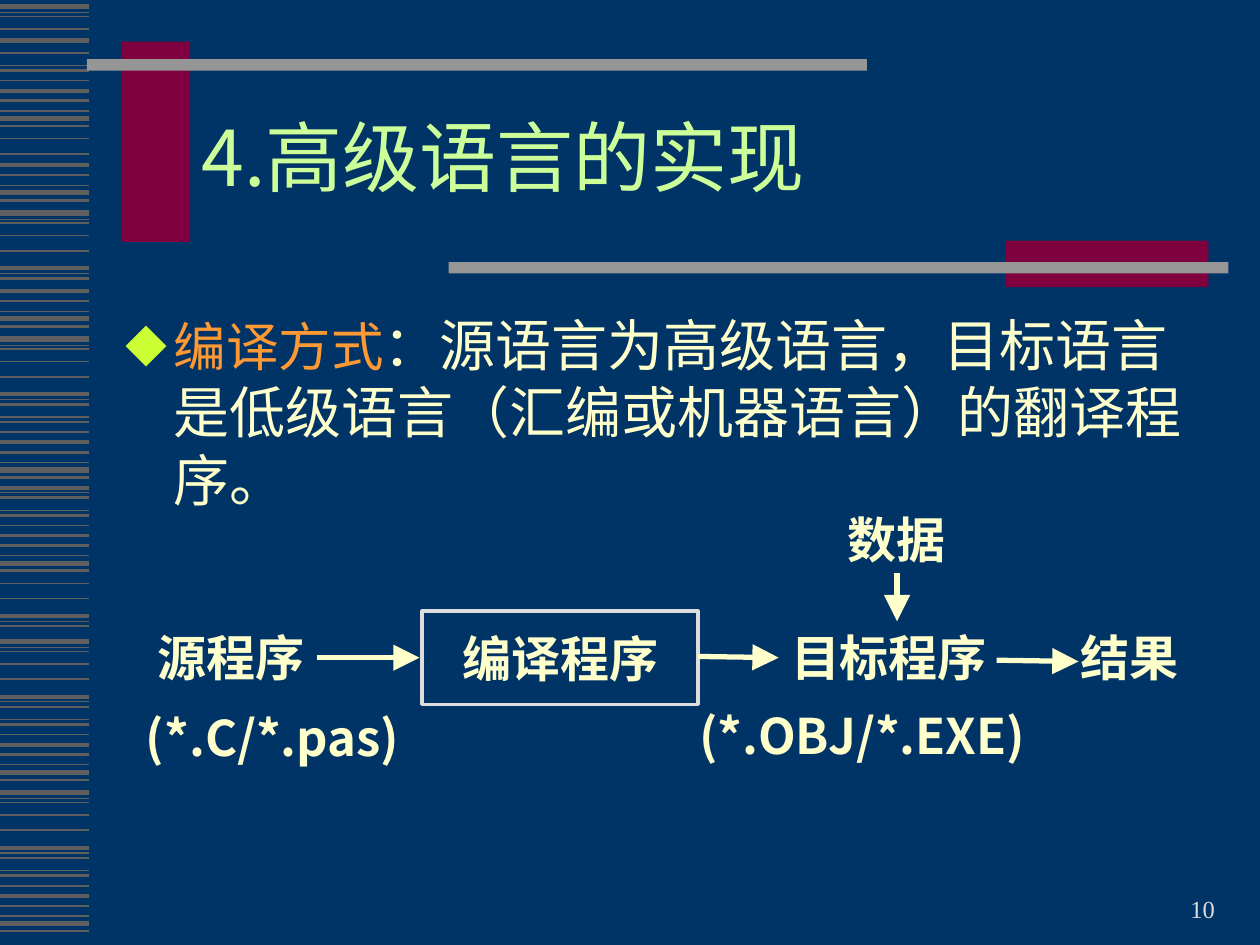
from lxml import etree
from pptx import Presentation, util as u
from pptx.dml.color import RGBColor
from pptx.enum import shapes, text
from pptx.oxml import ns

COLORS = {
    "navy": "003366", "stripe": "5F5F5F", "wine": "7E003F", "bar": "969696",
    "pale": "DDDDDD", "title": "CCFF99", "bullet": "CCFF33",
    "term": "FF9933", "cream": "FFFFCC",
}
SANS, SERIF = "Noto Sans CJK SC", "Times New Roman"
COLUMNS, ROWS = 100, 75
CELL = u.Inches(0.1)
STRIPE_MOTIF = [
    (0, 3), (0.5, 0.75), (0.8, 1), (1.8, 1), (3, 1), (4.4, 2.25),
    (4.8, 0.75), (5.2, 1.5), (6.2, 0.75), (6.6, 1.5), (7.4, 1),
    (8.2, 2.25), (9, 1.5), (9.8, 0.75), (10.4, 3), (11, 1.5),
]
STRIPE_BANDS = [
    (0.5, 0, 4), (3.2, 0, 1), (-1, 7, 16), (9.2, 3, 5), (4.9, 11, 16),
    (16.9, 0, 8), (14.9, 11, 16), (26.9, 0, 16), (34.3, 5, 16),
    (44.5, 3, 8), (50.9, 0, 16), (62.9, 0, 16),
]


def cells(*counts):
    return [round(count * CELL) for count in counts]


def color(name):
    return RGBColor.from_string(COLORS[name])


def add_tag(parent, name, **attributes):
    return etree.SubElement(parent, ns.qn(name), attributes)


def add_span(para, words, size, tint, font=SANS, bold=False):
    span = para.add_run()
    span.text = words
    span.font.size = u.Pt(size)
    span.font.name = font
    span.font.bold = bold
    span.font.color.rgb = color(tint)
    add_tag(span._r.get_or_add_rPr(), "a:ea", typeface=font)


def add_box(slide, place, anchor=text.MSO_ANCHOR.MIDDLE):
    box = slide.shapes.add_textbox(*cells(*place))
    frame = box.text_frame
    frame.word_wrap = True
    frame.vertical_anchor = anchor
    frame.margin_top = frame.margin_bottom = 0
    return frame


def add_label(slide, words, place, align=text.PP_ALIGN.LEFT):
    para = add_box(slide, place).paragraphs[0]
    para.alignment = align
    add_span(para, words, 28, "cream", bold=True)


def add_block(slide, place, fill, outline=None):
    block = slide.shapes.add_shape(shapes.MSO_SHAPE.RECTANGLE, *cells(*place))
    block.shadow.inherit = False
    block.fill.solid()
    block.fill.fore_color.rgb = color(fill)
    if outline:
        block.line.color.rgb = color(outline)
        block.line.width = u.Pt(2)
    else:
        block.line.fill.background()
    return block


def add_line(slide, ends, tint, weight, arrow=False):
    line = slide.shapes.add_connector(shapes.MSO_CONNECTOR.STRAIGHT, *cells(*ends))
    line.line.color.rgb = color(tint)
    line.line.width = u.Pt(weight)
    if arrow:
        outline = line.line._get_or_add_ln()
        add_tag(outline, "a:tailEnd", type="triangle", w="lg", len="lg")
    add_tag(line._element.spPr, "a:effectLst")


def add_stripes(slide):
    for base, first, stop in STRIPE_BANDS:
        for offset, weight in STRIPE_MOTIF[first:stop]:
            row = base + offset
            add_line(slide, (0, row, 7.1, row), "stripe", weight)


def add_frame_bars(slide):
    for place, fill in [
        ((9.7, 3.3, 5.4, 15.9), "wine"), ((6.9, 4.7, 61.9, 0.9), "bar"),
        ((79.8, 19.1, 16.1, 3.7), "wine"), ((35.6, 20.8, 61.9, 0.9), "bar"),
    ]:
        add_block(slide, place, fill)


def format_title(slide):
    title = slide.shapes.title
    title.left, title.top, title.width, title.height = cells(15, 6.7, 80.7, 12.5)
    title.text_frame.vertical_anchor = text.MSO_ANCHOR.MIDDLE
    para = title.text_frame.paragraphs[0]
    para.alignment = text.PP_ALIGN.LEFT
    para.line_spacing = 0.85
    add_span(para, "4.高级语言的实现", 44, "title")


def add_diamond_bullet(para):
    properties = para._p.get_or_add_pPr()
    indent = u.Inches(0.38)
    properties.set("marL", str(indent))
    properties.set("indent", str(-indent))
    add_tag(add_tag(properties, "a:buClr"), "a:srgbClr", val=COLORS["bullet"])
    add_tag(properties, "a:buSzPct", val="80000")
    add_tag(properties, "a:buFont", typeface=SANS)
    add_tag(properties, "a:buChar", char="◆")


def add_definition(slide):
    frame = add_box(slide, (9, 24.1, 87, 42.4), text.MSO_ANCHOR.TOP)
    frame.margin_top = u.Inches(0.05)
    para = frame.paragraphs[0]
    para.line_spacing = u.Pt(38.6)
    add_diamond_bullet(para)
    add_span(para, "编译方式", 30, "term")
    add_span(para, "：源语言为高级语言，目标语言是低级语言（汇编或机器语言）的翻译程序。", 32, "cream")


def add_flow(slide):
    for words, place in [
        ("源程序", (11.5, 49.3, 15, 5.7)), ("结果", (84.8, 49.3, 15, 5.7)),
        ("(*.C/*.pas)", (10.6, 55.6, 25.4, 5.7)),
        ("(*.OBJ/*.EXE)", (54.5, 55.5, 31.2, 5.7)),
        ("目标程序", (61.8, 49.3, 18.7, 5.7)),
    ]:
        add_label(slide, words, place)
    add_label(slide, "数据", (61.8, 39.9, 18.7, 5.7), text.PP_ALIGN.CENTER)

    compiler = add_block(slide, (33.5, 48.5, 21.9, 7.4), "navy", "pale")
    frame = compiler.text_frame
    frame.vertical_anchor = text.MSO_ANCHOR.MIDDLE
    frame.paragraphs[0].alignment = text.PP_ALIGN.CENTER
    add_span(frame.paragraphs[0], "编译程序", 28, "cream", bold=True)

    for ends in [
        (25.2, 52.2, 33.3, 52.2), (55.4, 52.1, 61.8, 52.2),
        (79.1, 52.4, 85.6, 52.5), (71.2, 45.5, 71.2, 49.3),
    ]:
        add_line(slide, ends, "cream", 3, arrow=True)


def add_page_number(slide):
    frame = add_box(slide, (73.4, 68.8, 24, 5), text.MSO_ANCHOR.BOTTOM)
    frame.margin_bottom = u.Inches(0.05)
    para = frame.paragraphs[0]
    para.alignment = text.PP_ALIGN.RIGHT
    add_span(para, "10", 14, "pale", SERIF)


def main():
    deck = Presentation()
    deck.slide_width, deck.slide_height = cells(COLUMNS, ROWS)
    page = deck.slides.add_slide(deck.slide_layouts[5])
    page.background.fill.solid()
    page.background.fill.fore_color.rgb = color("navy")
    add_stripes(page)
    add_frame_bars(page)
    add_page_number(page)
    format_title(page)
    add_definition(page)
    add_flow(page)
    deck.save("out.pptx")


if __name__ == "__main__":
    main()
